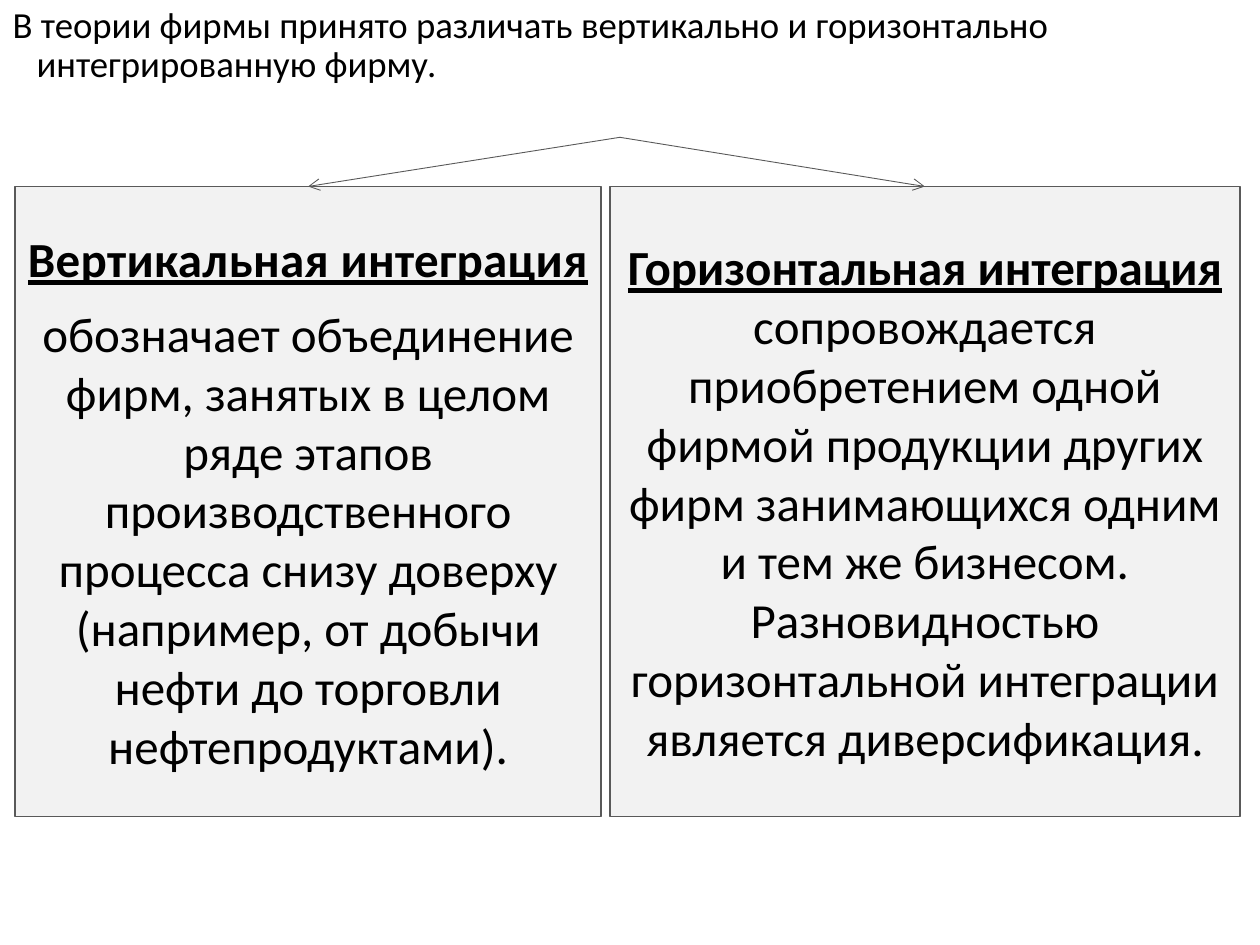
from pptx import Presentation
from pptx.dml.color import RGBColor
from pptx.enum.shapes import MSO_CONNECTOR, MSO_SHAPE
from pptx.enum.text import MSO_ANCHOR, PP_ALIGN
from pptx.oxml.ns import qn
from pptx.util import Inches, Pt
from lxml import etree

RECTANGLE = MSO_SHAPE.RECTANGLE
STRAIGHT = MSO_CONNECTOR.STRAIGHT
MIDDLE = MSO_ANCHOR.MIDDLE
CENTER = PP_ALIGN.CENTER
LEFT = PP_ALIGN.LEFT

FONT = "Calibri"
BLACK, GRAY, PALE = "000000", "595959", "F2F2F2"
BOX_TOP, BOX_HEIGHT = 1.48, 5
FORK = (4.92, 1.09)

INTRO = "В теории фирмы принято различать вертикально и горизонтально интегрированную фирму."
BOXES = [
    (0.12, 4.65, [
        ("Вертикальная интеграция", {"heading": True, "spacing": 0.2}),
        ("обозначает объединение фирм, занятых в целом ряде этапов "
         "производственного процесса снизу доверху (например, от добычи "
         "нефти до торговли нефтепродуктами).", {"before": 9}),
    ]),
    (4.84, 5, [
        ("Горизонтальная интеграция", {"heading": True}),
        ("сопровождается приобретением одной фирмой продукции других фирм "
         "занимающихся одним и тем же бизнесом.", {}),
        ("Разновидностью горизонтальной интеграции является диверсификация.", {}),
    ]),
]


def color(value):
    """Turn a hex string into a colour."""
    return RGBColor.from_string(value)


def write(paragraph, text, size=28, heading=False, align=CENTER, before=0, line=1.0, spacing=0):
    """Write one formatted run into a paragraph."""
    paragraph.alignment = align
    paragraph.space_before = Pt(before)
    paragraph.line_spacing = line
    run = paragraph.add_run()
    run.text = text
    run.font.name = FONT
    run.font.size = Pt(size)
    run.font.bold = run.font.underline = heading
    run.font.color.rgb = color(BLACK)
    if spacing:
        run.font._element.set("spc", str(round(spacing * 100)))


def add_intro(slide, presentation):
    """Fill the body placeholder with the hanging introductory sentence."""
    title = slide.shapes.title._element
    title.getparent().remove(title)
    body = slide.placeholders[1]
    body.left = body.top = Inches(0)
    body.width, body.height = presentation.slide_width, presentation.slide_height
    paragraph = body.text_frame.paragraphs[0]
    properties = paragraph._p.get_or_add_pPr()
    properties.set("marL", str(Inches(0.19)))
    properties.set("indent", str(Inches(-0.19)))
    etree.SubElement(properties, qn("a:buNone"))
    write(paragraph, INTRO, size=21, align=LEFT, line=0.9)


def add_box(slide, left, width, paragraphs):
    """Add a framed definition box."""
    shape = slide.shapes.add_shape(
        RECTANGLE, Inches(left), Inches(BOX_TOP), Inches(width), Inches(BOX_HEIGHT))
    shape.shadow.inherit = False
    shape.fill.solid()
    shape.fill.fore_color.rgb = color(PALE)
    shape.line.color.rgb = color(GRAY)
    shape.line.width = Pt(1)
    frame = shape.text_frame
    frame.word_wrap = True
    frame.vertical_anchor = MIDDLE
    for index, (text, style) in enumerate(paragraphs):
        paragraph = frame.add_paragraph() if index else frame.paragraphs[0]
        write(paragraph, text, **style)


def add_arrow(slide, start, end):
    """Add a thin line with an open arrowhead at its end."""
    connector = slide.shapes.add_connector(STRAIGHT, *map(Inches, start + end))
    connector.line.color.rgb = color(GRAY)
    connector.line.width = Pt(0.5)
    etree.SubElement(connector.line._get_or_add_ln(), qn("a:tailEnd"), type="arrow")
    etree.SubElement(connector._element.spPr, qn("a:effectLst"))


def main():
    """Build and save the slide."""
    presentation = Presentation()
    presentation.slide_width, presentation.slide_height = Inches(10), Inches(7.5)
    slide = presentation.slides.add_slide(presentation.slide_layouts[1])
    add_intro(slide, presentation)
    for left, width, paragraphs in BOXES:
        add_box(slide, left, width, paragraphs)
    for left, width, _ in BOXES:
        add_arrow(slide, FORK, (left + width / 2, BOX_TOP))
    presentation.save("out.pptx")


if __name__ == "__main__":
    main()
